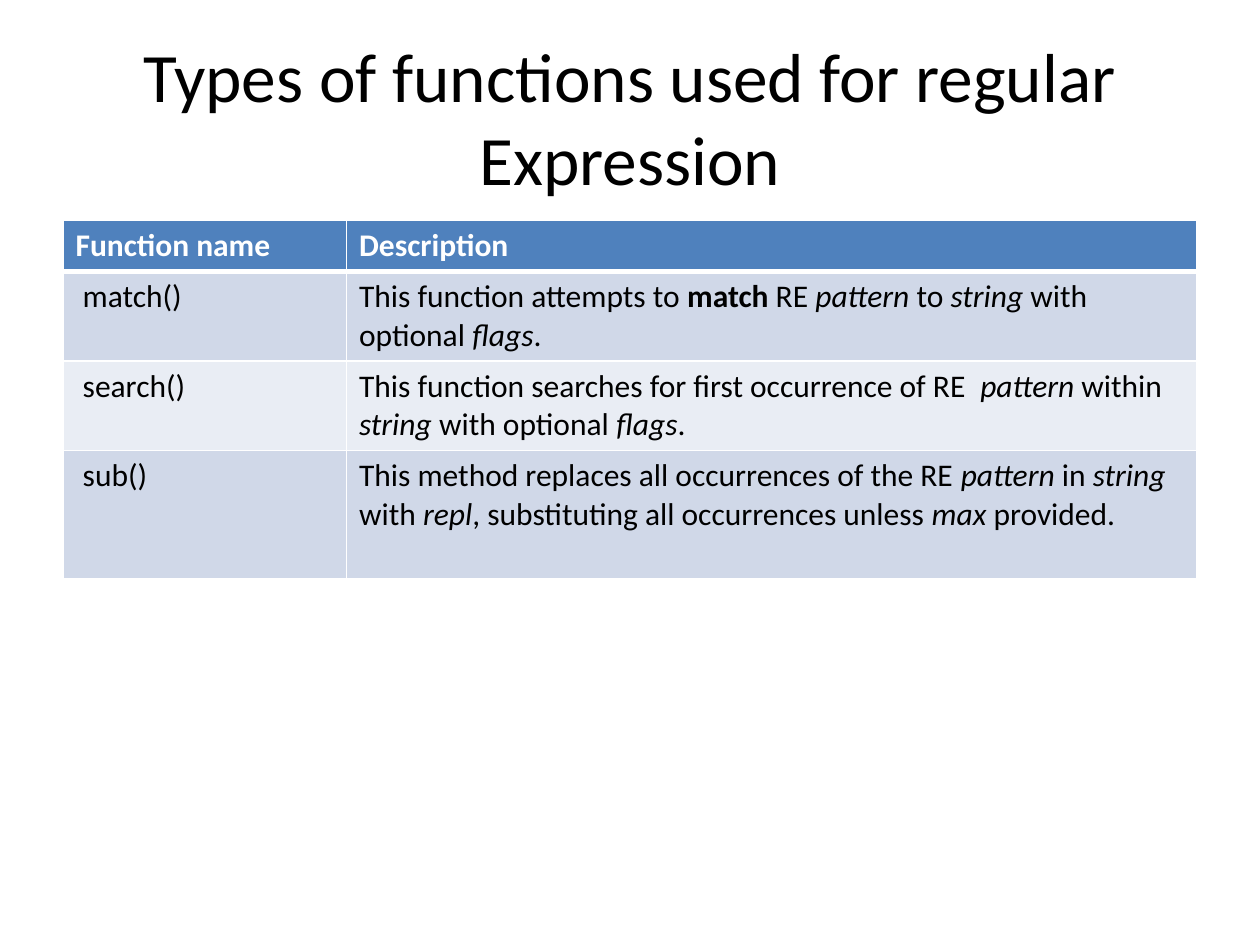
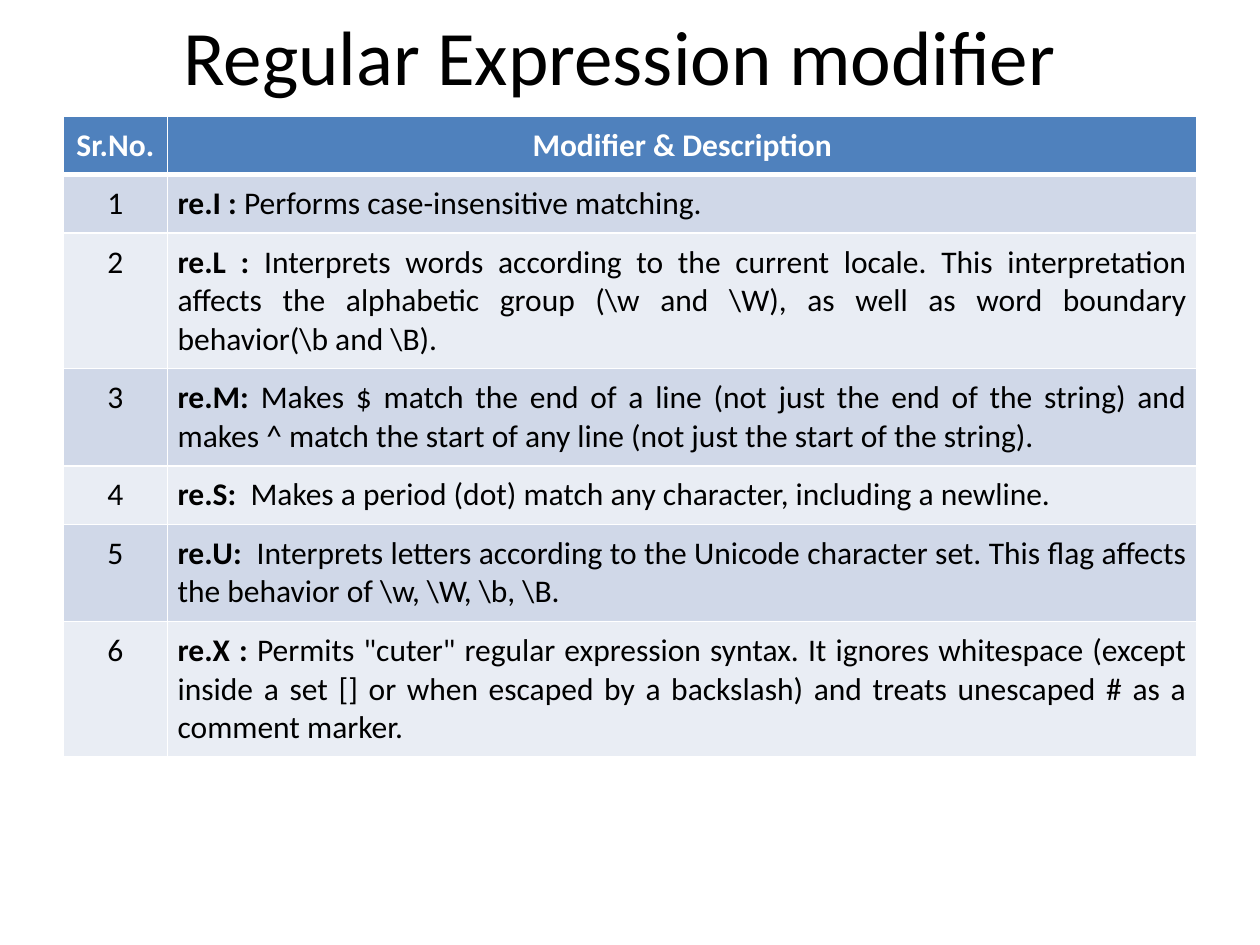
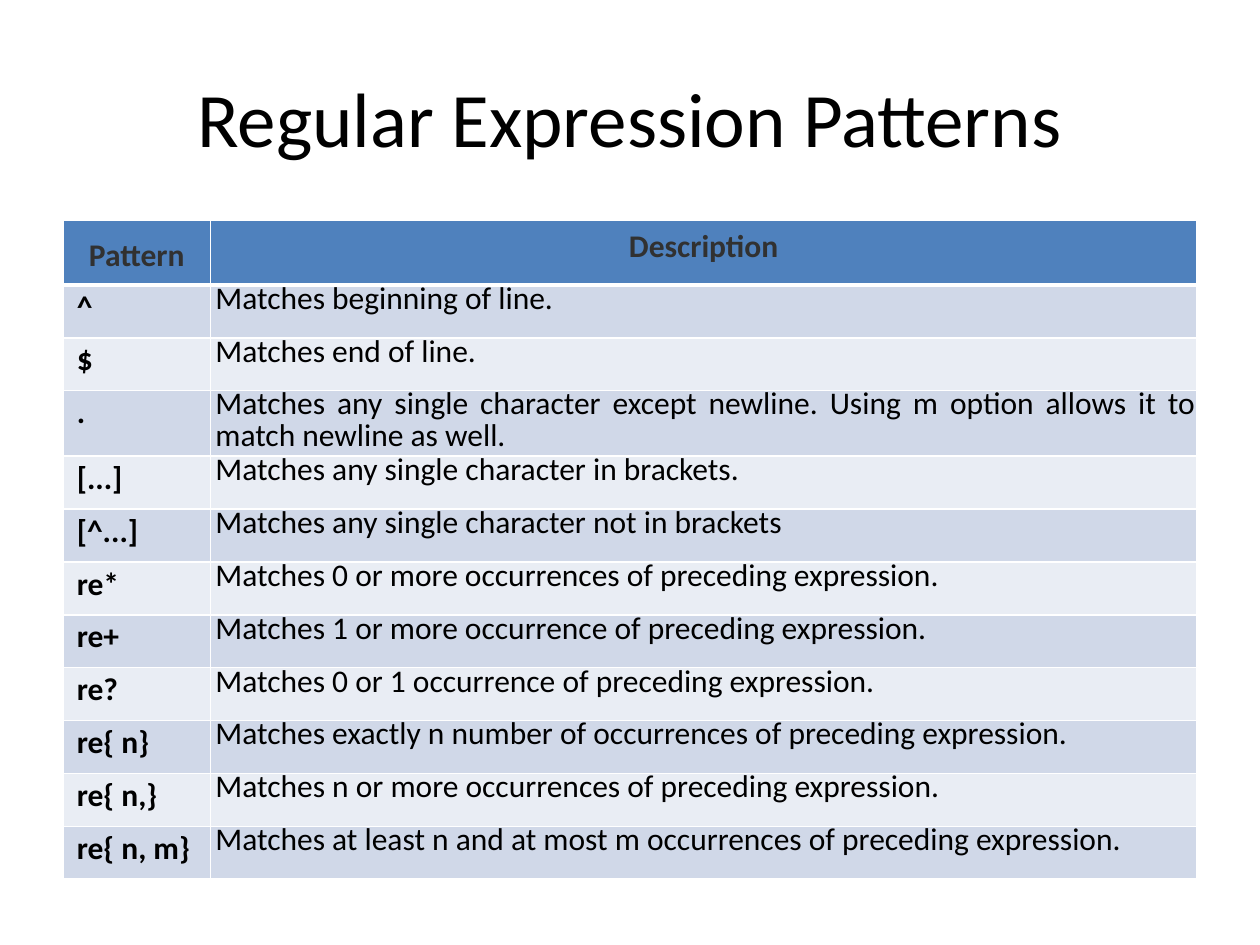
from dataclasses import dataclass

from lxml import etree
from pptx import Presentation
from pptx.dml.color import RGBColor
from pptx.enum.text import MSO_ANCHOR, MSO_AUTO_SIZE, PP_ALIGN
from pptx.oxml.ns import qn
from pptx.util import Inches, Pt

LEFT, CENTER, JUSTIFY = PP_ALIGN.LEFT, PP_ALIGN.CENTER, PP_ALIGN.JUSTIFY
MIDDLE = MSO_ANCHOR.MIDDLE
NO_AUTOFIT = MSO_AUTO_SIZE.NONE

# Shared look
COLORS = {
    "text": "000000",
    "header": "4F81BD",
    "header_text": "FFFFFF",
    "dark_header_text": "313131",
    "odd_band": "D0D8E8",
    "even_band": "E9EDF4",
    "border": "FFFFFF",
}
FONT = "Calibri"
TABLE_SIZE = 18
TITLE_BOX = (0.5, 0.3, 9, 1.25)
TABLE_LEFT = 0.5
LINE_HEIGHT = 0.305
THIN, THICK = 1, 3
TITLE_ONLY = 5


@dataclass
class Column:
    width: float
    align: int = LEFT
    header_align: int = LEFT
    padding: tuple = (0.1, 0.05)  # horizontal, vertical
    bold: bool = False


@dataclass
class Spacing:
    line: object = None
    after: float = 0
    indent: float = 0


SINGLE = Spacing()

# Table content: a cell is a string or a list of (text, style) runs
FUNCTIONS = [
    ("Function name", "Description"),
    (" match()", [
        ("This function attempts to ", ""), ("match", "b"), (" RE ", ""),
        ("pattern", "i"), (" to ", ""), ("string", "i"),
        (" with optional ", ""), ("flags", "i"), (".", "")]),
    (" search()", [
        ("This function searches for first occurrence of RE  ", ""),
        ("pattern", "i"), (" within ", ""), ("string", "i"),
        (" with optional ", ""), ("flags", "i"), (".", "")]),
    (" sub()", [
        ("This method replaces all occurrences of the RE ", ""),
        ("pattern", "i"), (" in ", ""), ("string", "i"), (" with ", ""),
        ("repl", "i"), (", substituting all occurrences unless ", ""),
        ("max", "i"), (" provided.", "")]),
]

MODIFIERS = [
    ("re.I : ", "Performs case-insensitive matching."),
    ("re.L : ", "Interprets words according to the current locale. This "
     "interpretation affects the alphabetic group (\\w and \\W), as well as "
     "word boundary behavior(\\b and \\B)."),
    ("re.M: ", "Makes $ match the end of a line (not just the end of the "
     "string) and makes ^ match the start of any line (not just the start of "
     "the string)."),
    ("re.S:  ", "Makes a period (dot) match any character, including a "
     "newline."),
    ("re.U:  ", "Interprets letters according to the Unicode character set. "
     "This flag affects the behavior of \\w, \\W, \\b, \\B."),
    ("re.X : ", "Permits \"cuter\" regular expression syntax. It ignores "
     "whitespace (except inside a set [] or when escaped by a backslash) and "
     "treats unescaped # as a comment marker."),
]

PATTERNS = [
    ("Pattern", "Description"),
    ("^", "Matches beginning of line."),
    ("$", "Matches end of line."),
    (".", "Matches any single character except newline. Using m option "
     "allows it to match newline as well."),
    ("[...]", "Matches any single character in brackets."),
    ("[^...]", "Matches any single character not in brackets"),
    ("re*", "Matches 0 or more occurrences of preceding expression."),
    ("re+", "Matches 1 or more occurrence of preceding expression."),
    ("re?", "Matches 0 or 1 occurrence of preceding expression."),
    ("re{ n}", "Matches exactly n number of occurrences of preceding "
     "expression."),
    ("re{ n,}", "Matches n or more occurrences of preceding expression."),
    ("re{ n, m}", "Matches at least n and at most m occurrences of preceding "
     "expression."),
]


def rgb(name):
    return RGBColor.from_string(COLORS[name])


def style_font(font, size, color, bold=False, italic=False):
    font.name = FONT
    font.size = Pt(size)
    font.bold = bold
    font.italic = italic
    font.color.rgb = rgb(color)


def add_titled_slide(presentation, title, size=44, box=TITLE_BOX):
    slide = presentation.slides.add_slide(presentation.slide_layouts[TITLE_ONLY])
    shape = slide.shapes.title
    shape.left, shape.top, shape.width, shape.height = map(Inches, box)
    text_frame = shape.text_frame
    text_frame.text = title
    text_frame.auto_size = NO_AUTOFIT
    text_frame.vertical_anchor = MIDDLE
    paragraph = text_frame.paragraphs[0]
    paragraph.alignment = CENTER
    style_font(paragraph.runs[0].font, size, "text")
    return slide


def set_borders(cell, top, bottom):
    properties = cell._tc.get_or_add_tcPr()
    widths = {"a:lnL": THIN, "a:lnR": THIN, "a:lnT": top, "a:lnB": bottom}
    for position, (tag, width) in enumerate(widths.items()):
        line = etree.Element(qn(tag), w=str(Pt(width)))
        fill = etree.SubElement(line, qn("a:solidFill"))
        etree.SubElement(fill, qn("a:srgbClr"), val=COLORS["border"])
        properties.insert(position, line)


def write_cell(cell, content, align, color, bold, spacing):
    paragraph = cell.text_frame.paragraphs[0]
    paragraph.alignment = align
    if spacing.line:
        paragraph.line_spacing = spacing.line
        paragraph.space_after = Pt(spacing.after)
    if spacing.indent:
        paragraph._p.get_or_add_pPr().set("marL", str(Inches(spacing.indent)))
    runs = [(content, "")] if isinstance(content, str) else content
    for text, style in runs:
        run = paragraph.add_run()
        run.text = text
        style_font(run.font, TABLE_SIZE, color, bold or style == "b", style == "i")


def add_banded_table(slide, top, rows, columns, heights, header_color="header_text",
                     header_spacing=SINGLE, body_spacing=SINGLE):
    width = sum(column.width for column in columns)
    table = slide.shapes.add_table(
        len(rows), len(columns), Inches(TABLE_LEFT), Inches(top),
        Inches(width), Inches(sum(heights))).table
    for index, column in enumerate(columns):
        table.columns[index].width = Inches(column.width)
    for row_index, row in enumerate(rows):
        table.rows[row_index].height = Inches(heights[row_index])
        is_header = row_index == 0
        band = "header" if is_header else "odd_band" if row_index % 2 else "even_band"
        for column_index, (column, content) in enumerate(zip(columns, row)):
            cell = table.cell(row_index, column_index)
            horizontal, vertical = map(Inches, column.padding)
            cell.margin_left = cell.margin_right = horizontal
            cell.margin_top = cell.margin_bottom = vertical
            cell.fill.solid()
            cell.fill.fore_color.rgb = rgb(band)
            set_borders(cell, THICK if row_index == 1 else THIN,
                        THICK if is_header else THIN)
            if is_header:
                write_cell(cell, content, column.header_align, header_color,
                           True, header_spacing)
            else:
                write_cell(cell, content, column.align, "text", column.bold,
                           body_spacing)


def row_heights(line_counts, padding):
    return [LINE_HEIGHT * count + 2 * padding for count in line_counts]


def main():
    presentation = Presentation()
    presentation.slide_width, presentation.slide_height = Inches(10), Inches(7.5)
    wide, tight = (0.08, 0.08), (0.01, 0.01)

    # Functions
    slide = add_titled_slide(
        presentation, "Types of functions used for regular Expression", size=39.6)
    add_banded_table(slide, 1.75, FUNCTIONS, [Column(2.25), Column(6.75)],
                     row_heights([1, 2, 2, 3], 0.05))

    # Modifiers, numbered by position
    slide = add_titled_slide(presentation, "Regular Expression modifier",
                             box=(0.42, 0, 9, 0.87))
    rows = [("Sr.No.", "Modifier & Description")]
    rows += [(str(number), [(flag, "b"), (description, "")])
             for number, (flag, description) in enumerate(MODIFIERS, 1)]
    add_banded_table(slide, 0.92, rows,
                     [Column(0.83, CENTER, CENTER, wide),
                      Column(8.17, JUSTIFY, CENTER, wide)],
                     row_heights([1, 1, 3, 2, 1, 2, 3], 0.08))

    # Patterns
    slide = add_titled_slide(presentation, "Regular Expression Patterns")
    heights = [0.51] + [0.42] * 2 + [0.52] + [0.42] * 8
    add_banded_table(slide, 1.75, PATTERNS,
                     [Column(1.17, JUSTIFY, CENTER, wide, bold=True),
                      Column(7.83, JUSTIFY, CENTER, tight)],
                     heights, "dark_header_text",
                     Spacing(1.15, 15), Spacing(Pt(18), 7.2, 0.03))

    presentation.save("out.pptx")


if __name__ == "__main__":
    main()
